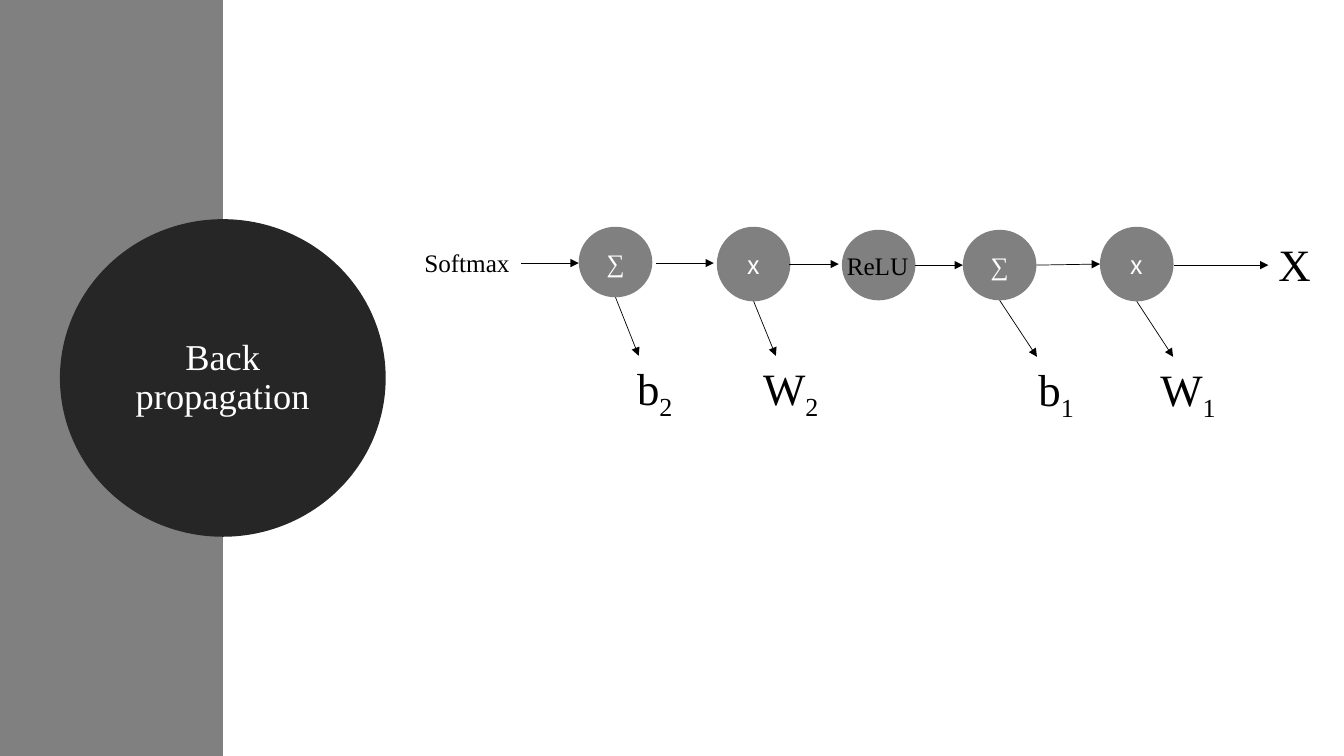
from pptx import Presentation
from pptx.dml.color import RGBColor
from pptx.enum import shapes, text
from pptx.oxml import ns, xmlchemy
from pptx.util import Inches, Pt

GRAY = RGBColor(0x80, 0x80, 0x80)
DARK = RGBColor(0x26, 0x26, 0x26)
WHITE = RGBColor(0xFF, 0xFF, 0xFF)
BLACK = RGBColor(0, 0, 0)
SERIF = "Times New Roman"
SANS = "Noto Sans CJK KR"
KIND = shapes.MSO_SHAPE


def add_run(para, words, size, color, font=SERIF, sub=False):
    run = para.add_run()
    run.text = words
    run.font.size = Pt(size)
    run.font.name = font
    run.font.color.rgb = color
    if sub:
        run.font._element.set("baseline", "-25000")


def add_solid(slide, kind, box, fill):
    shape = slide.shapes.add_shape(kind, *map(Inches, box))
    shape.shadow.inherit = False
    shape.fill.solid()
    shape.fill.fore_color.rgb = fill
    shape.line.fill.background()
    return shape


def center(shape):
    frame = shape.text_frame
    frame.word_wrap = True
    frame.vertical_anchor = text.MSO_ANCHOR.MIDDLE
    para = frame.paragraphs[0]
    para.alignment = text.PP_ALIGN.CENTER
    return para


def add_label(slide, box, words, size, sub="", wrap=True):
    label = slide.shapes.add_textbox(*map(Inches, box))
    frame = label.text_frame
    frame.word_wrap = wrap
    frame.auto_size = text.MSO_AUTO_SIZE.SHAPE_TO_FIT_TEXT
    para = frame.paragraphs[0]
    add_run(para, words, size, BLACK)
    if sub:
        add_run(para, sub, size, BLACK, sub=True)


def add_arrow(slide, start, end):
    arrow = slide.shapes.add_connector(
        shapes.MSO_CONNECTOR.STRAIGHT, *map(Inches, start + end))
    arrow.line.color.rgb = BLACK
    arrow.line.width = Pt(0.5)
    tail = xmlchemy.OxmlElement("a:tailEnd")
    tail.set("type", "triangle")
    arrow.line._get_or_add_ln().append(tail)
    props = arrow._element.find(ns.qn("p:spPr"))
    props.append(xmlchemy.OxmlElement("a:effectLst"))


def add_side(slide, left, top, width, height):
    # Gray band with the title circle centred on its right edge
    add_solid(slide, KIND.RECTANGLE, (left, top, width, height), GRAY)
    wide, high = 3.04, 2.96
    box = (left + width - wide / 2, top + 2.27, wide, high)
    disc = add_solid(slide, KIND.OVAL, box, DARK)
    disc.line.color.rgb = DARK
    disc.line.width = Pt(13.75)
    para = center(disc)
    para.line_spacing = 0.9
    add_run(para, "Back propagation", 26, WHITE)


def add_graph(slide, left, top):
    # Operation nodes: x, y, height, sign, font
    nodes = [
        (1.63, 0, 0.7, "∑", SERIF),
        (3, 0, 0.74, "x", SANS),
        (4.24, 0.03, 0.7, "", SERIF),
        (5.44, 0.03, 0.7, "∑", SERIF),
        (6.8, 0, 0.74, "x", SANS),
    ]
    for x, y, high, sign, font in nodes:
        box = (left + x, top + y, 0.73, high)
        node = add_solid(slide, KIND.OVAL, box, GRAY)
        if sign:
            add_run(center(node), sign, 18, WHITE, font)

    # Names along the chain
    add_label(slide, (left, top + 0.15, 1.06, 0.4), "Softmax", 18, wrap=False)
    add_label(slide, (left + 4.19, top + 0.18, 0.82, 0.4), "ReLU", 18, wrap=False)
    add_label(slide, (left + 8.47, top + 0.05, 0.53, 0.64), "X", 32)

    # Arrows along the chain: x1, y1, x2, y2
    links = [
        (1.06, 0.36, 1.63, 0.36),
        (2.4, 0.36, 2.97, 0.36),
        (3.72, 0.37, 4.21, 0.37),
        (4.97, 0.38, 5.44, 0.38),
        (6.17, 0.38, 6.8, 0.37),
        (7.53, 0.38, 8.47, 0.38),
    ]
    for x1, y1, x2, y2 in links:
        add_arrow(slide, (left + x1, top + y1), (left + x2, top + y2))

    # Parameters below: node index, arrow run, label x, y, width, letter, index
    params = [
        (0, 0.23, 2.11, 1.28, 0.7, "b", "2"),
        (1, 0.22, 3.36, 1.28, 0.97, "W", "2"),
        (3, 0.37, 6.09, 1.29, 0.71, "b", "1"),
        (4, 0.36, 7.3, 1.29, 0.91, "W", "1"),
    ]
    for index, shift, x, y, wide, letter, sub in params:
        node_x, node_y, high = nodes[index][:3]
        mid = left + node_x + 0.365
        add_arrow(slide, (mid, top + node_y + high), (mid + shift, top + y))
        add_label(slide, (left + x, top + y, wide, 0.64), letter, 32, sub)


def main():
    deck = Presentation()
    deck.slide_width = Inches(13.33)
    deck.slide_height = Inches(7.5)
    slide = deck.slides.add_slide(deck.slide_layouts[6])
    add_side(slide, 0, 0, 2.21, 7.5)
    add_graph(slide, 4.11, 2.25)
    deck.save("out.pptx")


if __name__ == "__main__":
    main()
